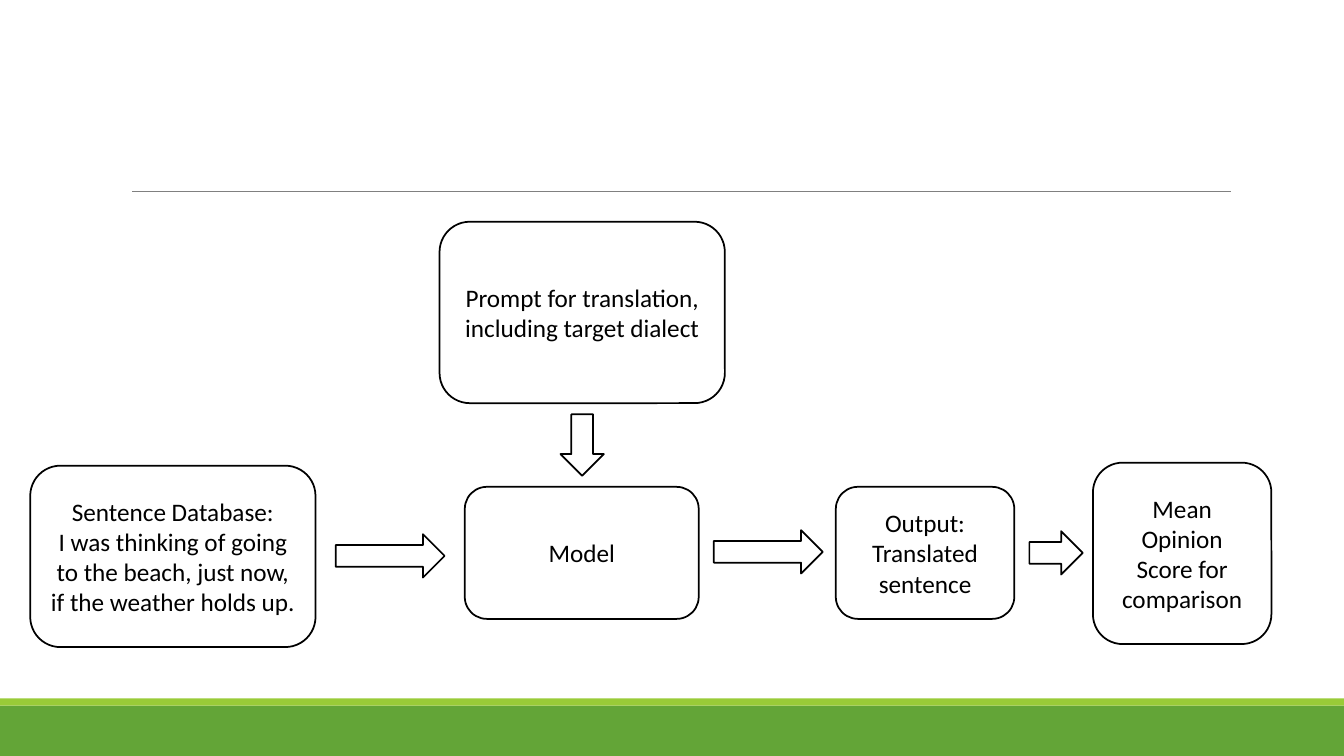
"""Build a slide showing the dialect translation and scoring workflow."""
from dataclasses import dataclass

from pptx import Presentation
from pptx.dml.color import RGBColor
from pptx.enum.shapes import MSO_CONNECTOR, MSO_SHAPE
from pptx.enum.text import MSO_ANCHOR, PP_ALIGN
from pptx.oxml.ns import qn
from pptx.util import Inches, Pt


@dataclass(frozen=True)
class Theme:
    ink: str = "000000"
    paper: str = "FFFFFF"
    rule: str = "808080"
    green: str = "63A537"
    lime: str = "99CB38"
    font: str = "Calibri"
    body: float = 18
    outline: float = 1.25
    hairline: float = 0.5


THEME = Theme()
WIDTH, HEIGHT = 13.33, 7.5
ARROW = 0.43

BANDS = [(7, 0.5, THEME.green), (6.93, 0.07, THEME.lime)]
STEPS = [
    (4.36, 2.2, 2.83, 1.8, ["Prompt for translation, including target dialect"]),
    (0.3, 4.62, 2.83, 1.8, [
        "Sentence Database:",
        "I was thinking of going to the beach, just now, if the weather holds up.",
    ]),
    (4.61, 4.83, 2.32, 1.31, ["Model"]),
    (8.29, 4.83, 1.77, 1.31, ["Output:", "Translated sentence"]),
    (10.84, 4.59, 1.77, 1.8, ["Mean Opinion Score for comparison"]),
]
RIGHT_ARROWS = [(3.33, 5.3, 1.08), (7.08, 5.26, 1.08), (10.21, 5.27, 0.53)]
DOWN_ARROW = (5.56, 4.11, 0.61)


def add_box(s, kind, x, y, w, h, fill=THEME.paper, outlined=True):
    sp = s.shapes.add_shape(kind, Inches(x), Inches(y), Inches(w), Inches(h))
    sp.shadow.inherit = False
    sp.fill.solid()
    sp.fill.fore_color.rgb = RGBColor.from_string(fill)
    if outlined:
        sp.line.color.rgb = RGBColor.from_string(THEME.ink)
        sp.line.width = Pt(THEME.outline)
    else:
        sp.line.fill.background()
    return sp


def add_step(s, x, y, w, h, lines):
    tf = add_box(s, MSO_SHAPE.ROUNDED_RECTANGLE, x, y, w, h).text_frame
    tf.word_wrap = True
    tf.vertical_anchor = MSO_ANCHOR.MIDDLE
    tf.text = "\n".join(lines)
    for p in tf.paragraphs:
        p.alignment = PP_ALIGN.CENTER
        p.font.name = THEME.font
        p.font.size = Pt(THEME.body)
        p.font.color.rgb = RGBColor.from_string(THEME.ink)


def add_rule(s, x1, x2, y):
    rule = s.shapes.add_connector(
        MSO_CONNECTOR.STRAIGHT, Inches(x1), Inches(y), Inches(x2), Inches(y))
    rule.line.color.rgb = RGBColor.from_string(THEME.rule)
    rule.line.width = Pt(THEME.hairline)
    sp_pr = rule._element.spPr
    sp_pr.append(sp_pr.makeelement(qn("a:effectLst"), {}))


prs = Presentation()
prs.slide_width, prs.slide_height = Inches(WIDTH), Inches(HEIGHT)
s = prs.slides.add_slide(prs.slide_layouts[6])

for y, h, color in BANDS:
    add_box(s, MSO_SHAPE.RECTANGLE, 0, y, WIDTH, h, color, outlined=False)
add_rule(s, 1.31, 12.21, 1.9)
for step in STEPS:
    add_step(s, *step)
for x, y, length in RIGHT_ARROWS:
    add_box(s, MSO_SHAPE.RIGHT_ARROW, x, y, length, ARROW)
x, y, length = DOWN_ARROW
add_box(s, MSO_SHAPE.DOWN_ARROW, x, y, ARROW, length)

prs.save("out.pptx")
